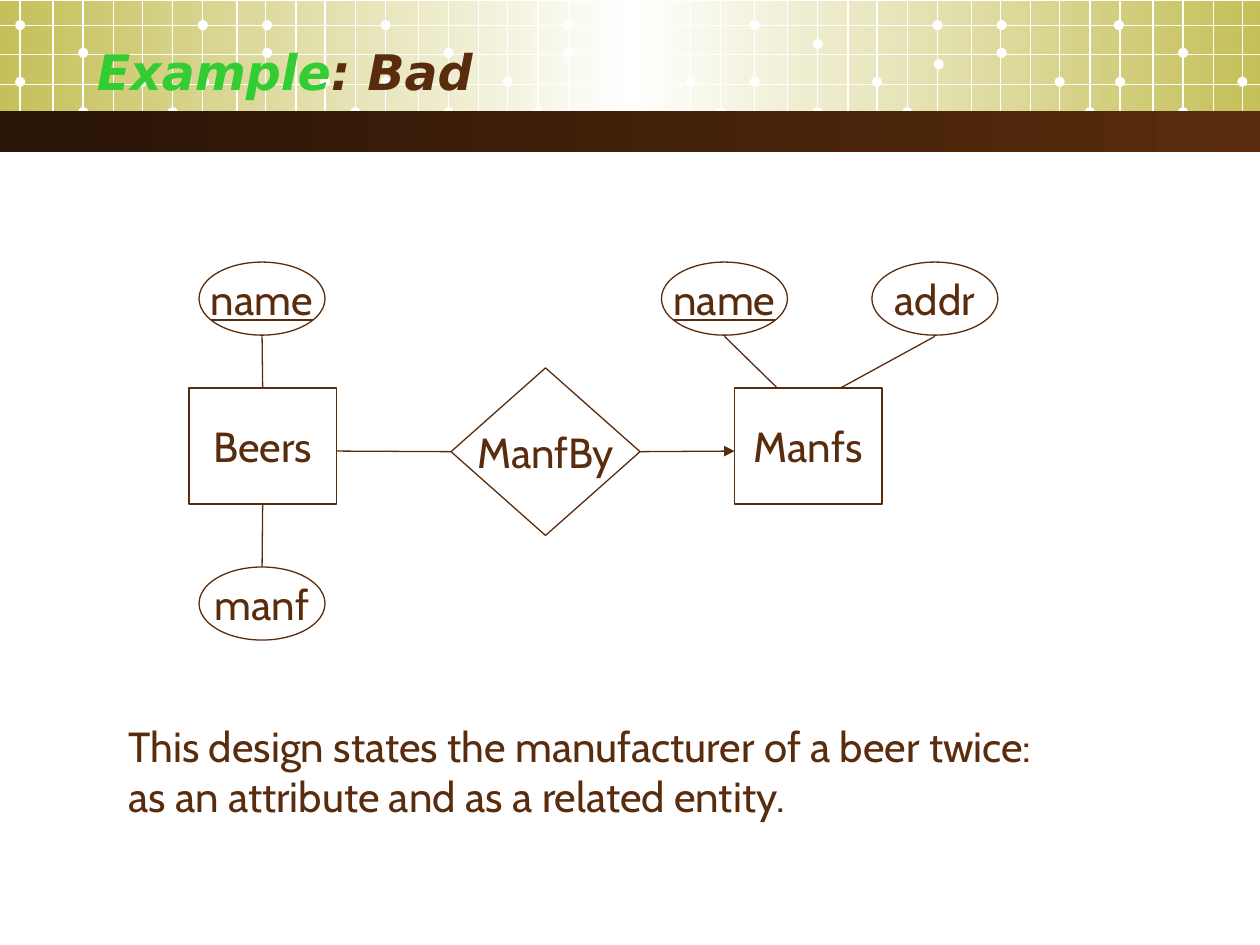
import copy
from typing import NamedTuple

import pptx
import pptx.dml.color
import pptx.enum.shapes
import pptx.enum.text
import pptx.oxml.ns
import pptx.util

Inches = pptx.util.Inches
Pt = pptx.util.Pt
Kind = pptx.enum.shapes.MSO_SHAPE
Anchor = pptx.enum.text.MSO_ANCHOR
qn = pptx.oxml.ns.qn

BROWN, WHITE, GREEN, OLIVE = "592C0D", "FFFFFF", "33CC33", "C5C059"
BODY = {"size": Pt(24), "name": "Cabin"}
KEY = BODY | {"underline": True}
HEAD = {"size": Pt(28), "name": "DejaVu Sans", "bold": True, "italic": True}

# The grid repeats the same column gaps from each start.
STARTS = (0.16, 3.06, 5.99, 8.89)
COLS = (0, 0.26, 0.5, 0.74, 0.97, 1.21, 1.45, 1.72, 1.95, 2.19, 2.42, 2.66)
ROWS = (0.2, 0.43, 0.67)
DOT = 0.08
DOTS = {  # top of the dots: left edges
    0.16: (0.12, 1.57, 2.08, 3.02, 4.47, 4.97, 5.95, 7.4, 7.91, 8.84),
    0.31: (6.45,),
    0.38: (0.62, 2.08, 3.52, 4.47, 4.97, 7.91, 9.35),
    0.47: (7.41,),
    0.61: (0.12, 1.09, 1.58, 2.54, 3.02, 3.99, 5.44, 5.95, 6.92, 8.37,
           8.85, 9.82),
    0.85: (0.62, 1.33, 2.78, 3.52, 4.23, 5.68, 6.45, 7.16, 8.61, 9.35),
}


class Node(NamedTuple):
    text: str
    kind: Kind
    left: float
    top: float
    wide: float
    high: float
    form: dict = BODY


class Link(NamedTuple):
    start: tuple[float, float]
    end: tuple[float, float]
    head: tuple[str, int] | None = None  # node and side at the start
    tail: tuple[str, int] | None = None  # node and side at the end
    arrow: bool = False


NODES = {
    "beers": Node("Beers", Kind.RECTANGLE, 1.5, 3.08, 1.17, 0.92),
    "manfs": Node("Manfs", Kind.RECTANGLE, 5.83, 3.08, 1.17, 0.92),
    "by": Node("ManfBy", Kind.DIAMOND, 3.58, 2.92, 1.5, 1.33),
    "beer name": Node("name", Kind.OVAL, 1.58, 2.08, 1, 0.58, KEY),
    "manf name": Node("name", Kind.OVAL, 5.25, 2.08, 1, 0.58, KEY),
    "manf": Node("manf", Kind.OVAL, 1.58, 4.5, 1, 0.58),
    "addr": Node("addr", Kind.OVAL, 6.92, 2.08, 1, 0.58),
}
LINKS = (
    Link((3.58, 3.58), (2.67, 3.58), head=("by", 1)),
    Link((5.08, 3.58), (5.83, 3.58), head=("by", 3), arrow=True),
    Link((2.08, 2.67), (2.08, 3.08), tail=("beers", 0)),
    Link((2.08, 4.5), (2.08, 4), tail=("beers", 2)),
    Link((5.75, 2.67), (6.17, 3.08)),
    Link((7.42, 2.67), (6.67, 3.08)),
)


def rgb(code: str) -> pptx.dml.color.RGBColor:
    return pptx.dml.color.RGBColor.from_string(code)


def add_shape(slide, kind: Kind, *box: float):
    """Add a bare shape with no shadow, fill or line."""
    shape = slide.shapes.add_shape(kind, *map(Inches, box))
    shape.shadow.inherit = False
    shape.fill.background()
    shape.line.fill.background()
    return shape


def add_line(slide, start: tuple, end: tuple, color: str):
    line = slide.shapes.add_connector(
        pptx.enum.shapes.MSO_CONNECTOR.STRAIGHT, *map(Inches, start + end))
    line.line.color.rgb = rgb(color)
    line.line.width = Pt(0.75)
    props = line._element.spPr
    props.append(props.makeelement(qn("a:effectLst"), {}))
    return line


def add_run(para, text: str, form: dict, color: str = BROWN) -> None:
    run = para.add_run()
    run.text = text
    for key, value in form.items():
        setattr(run.font, key, value)
    run.font.color.rgb = rgb(color)


def add_band(slide, top: float, high: float, *colors: str) -> None:
    """Add a full-width bar that blends evenly spaced colours."""
    fill = add_shape(slide, Kind.RECTANGLE, 0, top, 10, high).fill
    fill.gradient()
    fill.gradient_angle = 0
    first = fill.gradient_stops[0]._gs
    for _ in colors[2:]:
        first.addnext(copy.deepcopy(first))
    for i, (stop, color) in enumerate(zip(fill.gradient_stops, colors)):
        stop.color.rgb = rgb(color)
        stop.position = i / (len(colors) - 1)


def add_grid(slide) -> None:
    for x in (start + col for start in STARTS for col in COLS):
        if x < 10:
            add_line(slide, (x, 0), (x, 1.1), WHITE)
    for y in ROWS:
        add_line(slide, (0, y), (10, y), WHITE)
    for top, lefts in DOTS.items():
        for left in lefts:
            dot = add_shape(slide, Kind.OVAL, left, top, DOT, DOT)
            dot.fill.solid()
            dot.fill.fore_color.rgb = rgb(WHITE)


def add_node(slide, node: Node):
    shape = add_shape(slide, node.kind, *node[2:6])
    shape.line.color.rgb = rgb(BROWN)
    shape.line.width = Pt(0.75)
    frame = shape.text_frame
    frame.word_wrap = False
    frame.vertical_anchor = Anchor.MIDDLE
    para = frame.paragraphs[0]
    para.alignment = pptx.enum.text.PP_ALIGN.CENTER
    add_run(para, node.text, node.form)
    return shape


def add_link(slide, link: Link, shapes: dict) -> None:
    line = add_line(slide, link.start, link.end, BROWN)
    for join, spot in ((line.begin_connect, link.head),
                       (line.end_connect, link.tail)):
        if spot:
            join(shapes[spot[0]], spot[1])
    if link.arrow:
        stroke = line.line._get_or_add_ln()
        stroke.append(stroke.makeelement(qn("a:tailEnd"), {"type": "triangle"}))


def add_text(slide, *box: float):
    """Add a wrapping text box and return its frame."""
    frame = slide.shapes.add_textbox(*map(Inches, box)).text_frame
    frame.word_wrap = True
    return frame


def main() -> None:
    deck = pptx.Presentation()
    deck.slide_width, deck.slide_height = Inches(10), Inches(7.5)
    slide = deck.slides.add_slide(deck.slide_layouts[6])

    add_band(slide, 0.01, 1.02, OLIVE, WHITE, OLIVE)
    add_grid(slide)
    add_band(slide, 0.88, 0.33, "291406", BROWN)

    title = add_text(slide, 0.67, 0.25, 7.91, 0.62)
    title.vertical_anchor = Anchor.MIDDLE
    add_run(title.paragraphs[0], "Example", HEAD, GREEN)
    add_run(title.paragraphs[0], ": Bad", HEAD)

    shapes = {name: add_node(slide, node) for name, node in NODES.items()}
    for link in LINKS:
        add_link(slide, link, shapes)

    note = add_text(slide, 0.92, 5.67, 7.52, 0.9)
    note.auto_size = pptx.enum.text.MSO_AUTO_SIZE.SHAPE_TO_FIT_TEXT
    add_run(note.paragraphs[0],
            "This design states the manufacturer of a beer twice: "
            "as an attribute and as a related entity.", BODY)

    deck.save("out.pptx")


if __name__ == "__main__":
    main()
